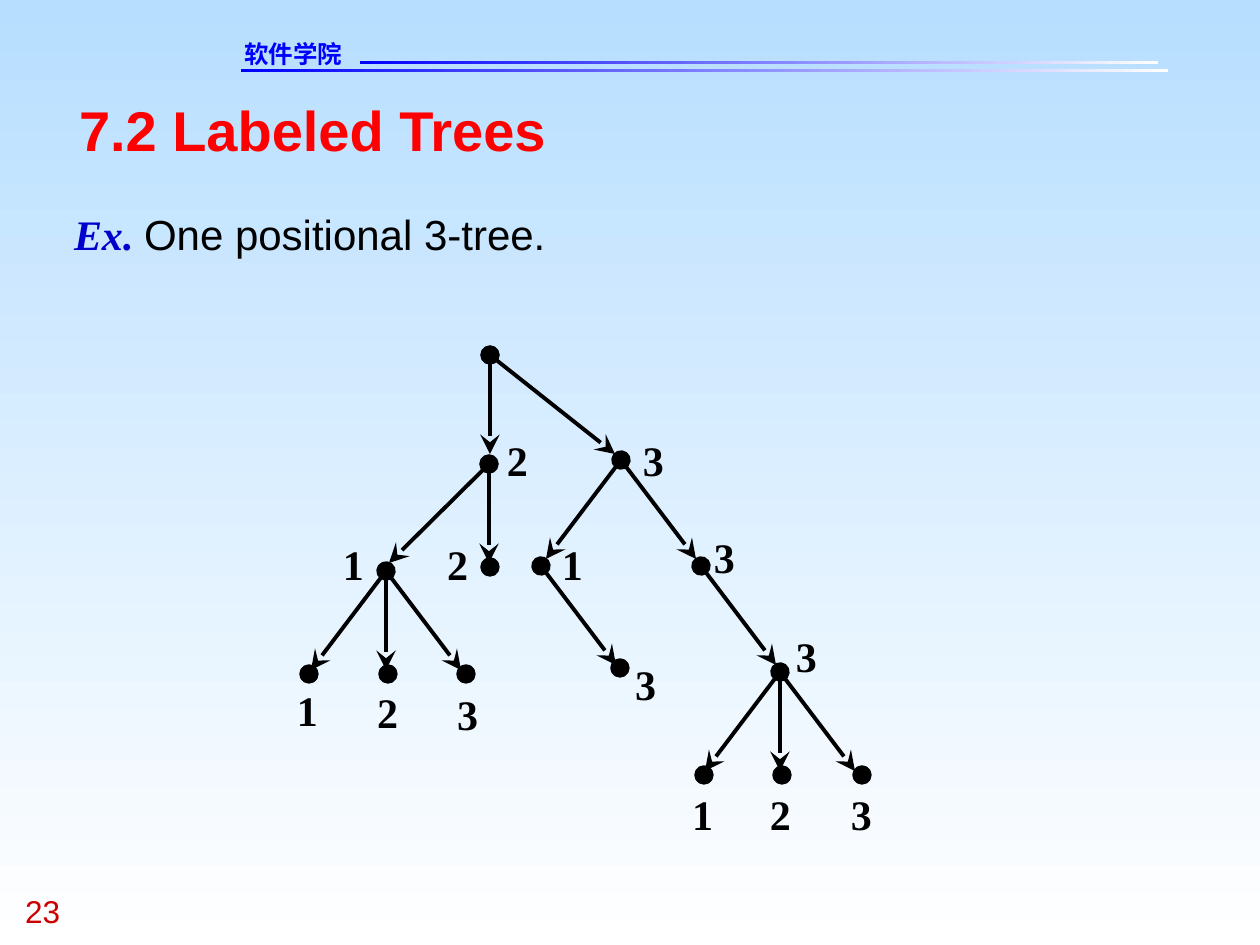
import dataclasses
import typing

import lxml.etree
import pptx
import pptx.dml.color
import pptx.dml.fill
import pptx.enum.shapes
import pptx.oxml.ns
import pptx.util

EMU_PER_PIXEL = 914400 / 126
DOT_SIZE = 15
EDGE_DROP = 99
LABEL_WIDTH, LABEL_HEIGHT = 21, 50
BLACK, BLUE, WHITE = "000000", "0000FF", "FFFFFF"


@dataclasses.dataclass(frozen=True)
class TextRun:
    text: str
    size: int
    font: str
    color: str
    bold: bool = False
    italic: bool = False


@dataclasses.dataclass(frozen=True)
class Branch:
    x: int
    y: int
    reaches: tuple[int, ...]


class Point(typing.NamedTuple):
    x: int
    y: int


class Label(typing.NamedTuple):
    text: str
    left: int
    top: int


class Bar(typing.NamedTuple):
    left: int
    top: int
    width: int


HEADER_BARS = [Bar(241, 69, 927), Bar(360, 61, 798)]

BRANCHES = [
    Branch(490, 355, (0, 125)),
    Branch(489, 464, (0, -100)),
    Branch(621, 460, (-75, 75)),
    Branch(386, 571, (-75, 0, 75)),
    Branch(541, 566, (75,)),
    Branch(701, 566, (75,)),
    Branch(780, 672, (-75, 0, 75)),
]

LEAVES = [
    Point(490, 567),
    Point(309, 674), Point(388, 674), Point(466, 674),
    Point(620, 668),
    Point(704, 775), Point(782, 775), Point(862, 775),
]

LABELS = [
    Label("2", 507, 435), Label("3", 643, 435),
    Label("1", 343, 539), Label("2", 447, 539), Label("1", 562, 539), Label("3", 714, 532),
    Label("1", 297, 685), Label("2", 377, 687), Label("3", 457, 689),
    Label("3", 635, 659), Label("3", 796, 631),
    Label("1", 692, 789), Label("2", 770, 789), Label("3", 851, 789),
]


def px(length: float) -> int:
    """Turn pixels into EMU."""
    return round(length * EMU_PER_PIXEL)


def rgb(color: str) -> pptx.dml.color.RGBColor:
    """Turn a hex string into a colour."""
    return pptx.dml.color.RGBColor.from_string(color)


def fill_gradient(fill: pptx.dml.fill.FillFormat, first: str, last: str, angle: int) -> None:
    """Fill with a two-colour linear gradient."""
    fill.gradient()
    fill.gradient_angle = angle
    for stop, color in zip(fill.gradient_stops, (first, last)):
        stop.color.rgb = rgb(color)


def add_bar(slide, bar: Bar) -> None:
    """Draw a thin header rule that fades from blue to white."""
    shape = slide.shapes.add_shape(
        pptx.enum.shapes.MSO_SHAPE.RECTANGLE, px(bar.left), px(bar.top), px(bar.width), px(3))
    shape.shadow.inherit = False
    fill_gradient(shape.fill, BLUE, WHITE, 0)
    shape.line.fill.background()


def add_text(slide, left: int, top: int, width: int, height: int, runs: list[TextRun],
             wrap: bool = True, line_spacing: float = 1.0) -> None:
    """Write one paragraph of formatted runs in a box without margins."""
    text_frame = slide.shapes.add_textbox(px(left), px(top), px(width), px(height)).text_frame
    text_frame.margin_left = text_frame.margin_right = 0
    text_frame.margin_top = text_frame.margin_bottom = 0
    text_frame.word_wrap = wrap
    paragraph = text_frame.paragraphs[0]
    paragraph.line_spacing = line_spacing
    for text_run in runs:
        run = paragraph.add_run()
        run.text = text_run.text
        run.font.size = pptx.util.Pt(text_run.size)
        run.font.name = text_run.font
        run.font.bold = text_run.bold
        run.font.italic = text_run.italic
        run.font.color.rgb = rgb(text_run.color)
        east_asian = lxml.etree.SubElement(run.font._element, pptx.oxml.ns.qn("a:ea"))
        east_asian.set("typeface", text_run.font)


def add_leaf(slide, center: Point) -> None:
    """Draw a leaf dot around its centre."""
    shape = slide.shapes.add_shape(
        pptx.enum.shapes.MSO_SHAPE.OVAL, px(center.x - DOT_SIZE / 2), px(center.y - DOT_SIZE / 2),
        px(DOT_SIZE), px(DOT_SIZE))
    shape.shadow.inherit = False
    shape.fill.solid()
    shape.fill.fore_color.rgb = rgb(BLACK)
    shape.line.color.rgb = rgb(BLACK)
    shape.line.width = pptx.util.Pt(2.5)


def add_edge(slide, start: Point, end: Point, dotted_start: bool) -> None:
    """Draw an arrow to a child, with the parent's dot at its start if asked."""
    connector = slide.shapes.add_connector(
        pptx.enum.shapes.MSO_CONNECTOR.STRAIGHT, px(start.x), px(start.y), px(end.x), px(end.y))
    connector.line.color.rgb = rgb(BLACK)
    connector.line.width = pptx.util.Pt(2.25)
    properties = connector._element.spPr
    line = properties.find(pptx.oxml.ns.qn("a:ln"))
    ends = {"a:headEnd": "oval" if dotted_start else "none", "a:tailEnd": "stealth"}
    for tag, kind in ends.items():
        line_end = lxml.etree.SubElement(line, pptx.oxml.ns.qn(tag))
        for name, value in (("type", kind), ("w", "lg"), ("len", "lg")):
            line_end.set(name, value)
    lxml.etree.SubElement(properties, pptx.oxml.ns.qn("a:effectLst"))


def add_branch(slide, branch: Branch) -> None:
    """Draw all edges that leave one parent node."""
    for index, reach in enumerate(branch.reaches):
        end = Point(branch.x + reach, branch.y + EDGE_DROP)
        add_edge(slide, Point(branch.x, branch.y), end, index == 0)


def main() -> None:
    """Build the slide and save it."""
    presentation = pptx.Presentation()
    presentation.slide_width = px(1260)
    presentation.slide_height = px(945)
    slide = presentation.slides.add_slide(presentation.slide_layouts[6])
    fill_gradient(slide.background.fill, "B7DEFF", WHITE, 270)

    for bar in HEADER_BARS:
        add_bar(slide, bar)
    add_text(slide, 244, 39, 183, 29, [TextRun("软件学院", 14, "DejaVu Sans", BLUE, bold=True)])
    add_text(slide, 25, 892, 95, 38, [TextRun("23", 18, "Arial", "CC0000")])
    add_text(slide, 79, 95, 1103, 67,
             [TextRun("7.2 Labeled Trees", 32, "Arial", "FF0000", bold=True)])
    add_text(slide, 74, 198, 1104, 60, [
        TextRun("Ex. ", 24, "Times New Roman", "0000CC", bold=True, italic=True),
        TextRun("One positional 3-tree.", 24, "Arial", BLACK),
    ], line_spacing=1.2)

    for leaf in LEAVES:
        add_leaf(slide, leaf)
    for label in LABELS:
        add_text(slide, label.left, label.top, LABEL_WIDTH, LABEL_HEIGHT,
                 [TextRun(label.text, 24, "Times New Roman", BLACK, bold=True)], wrap=False)
    for branch in BRANCHES:
        add_branch(slide, branch)

    presentation.save("out.pptx")


if __name__ == "__main__":
    main()
